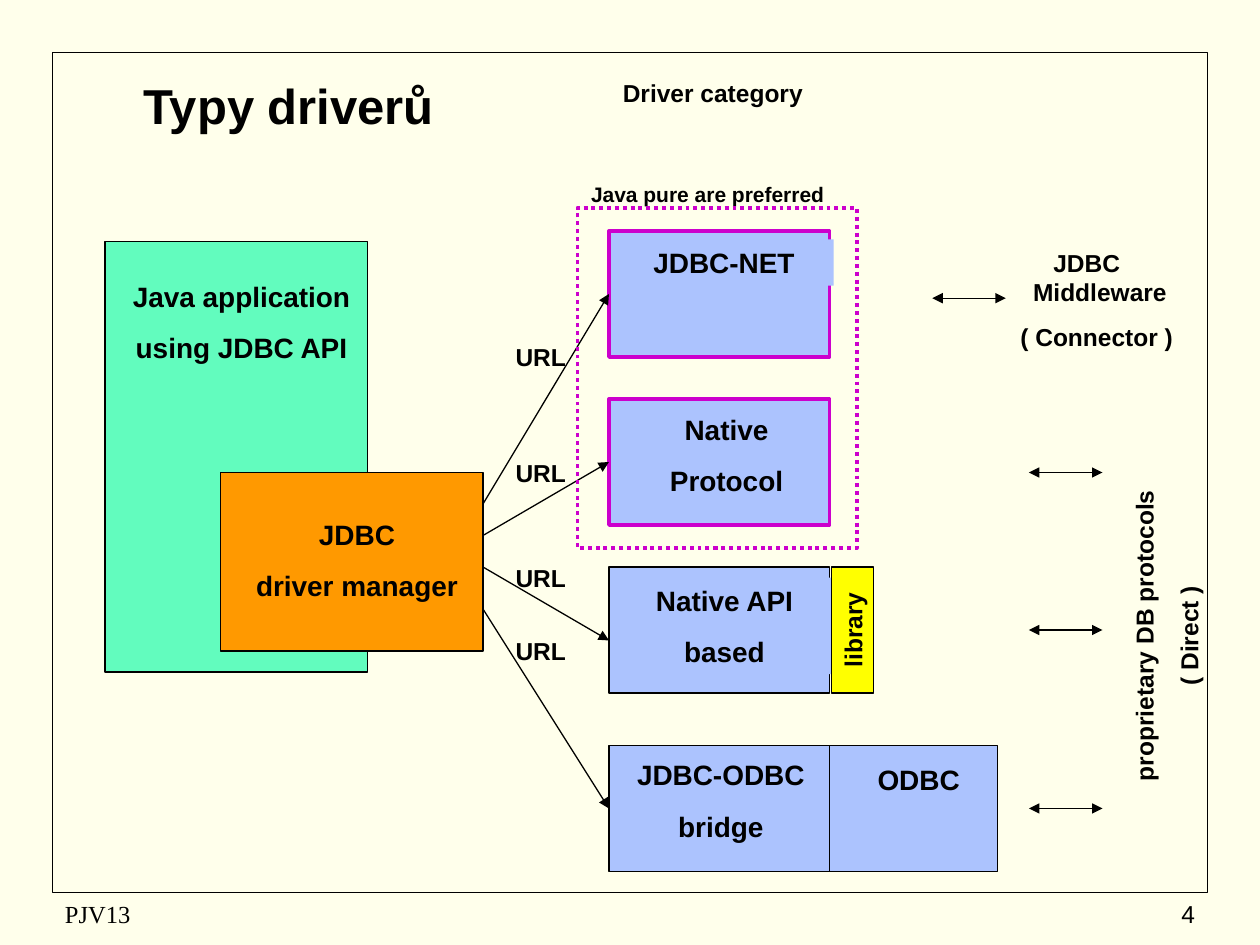
from lxml.etree import SubElement
from pptx import Presentation
from pptx.dml.color import RGBColor
from pptx.enum.dml import MSO_LINE
from pptx.enum.shapes import MSO_CONNECTOR, MSO_SHAPE
from pptx.enum.text import MSO_ANCHOR, PP_ALIGN
from pptx.oxml.ns import qn
from pptx.util import Inches, Pt

COLUMNS, ROWS = 120, 90
BLACK = RGBColor(0x00, 0x00, 0x00)
CREAM = RGBColor(0xFF, 0xFF, 0xEB)
GREEN = RGBColor(0x62, 0xFC, 0xBE)
ORANGE = RGBColor(0xFF, 0x99, 0x00)
BLUE = RGBColor(0xAC, 0xC3, 0xFE)
YELLOW = RGBColor(0xFF, 0xFF, 0x00)
MAGENTA = RGBColor(0xCC, 0x00, 0xCC)


def grid(*cells):
    """Turn grid counts into lengths; one cell is a twelfth of an inch."""
    return [Inches(cell / 12) for cell in cells]


def write(shape, lines, size, align=PP_ALIGN.CENTER, bold=True, font="Arial",
          anchor=MSO_ANCHOR.TOP):
    """Fill a shape with formatted paragraphs, spaced after the first."""
    frame = shape.text_frame
    frame.word_wrap = True
    frame.vertical_anchor = anchor
    frame.text = "\n".join(lines)
    for index, para in enumerate(frame.paragraphs):
        para.alignment = align
        para.space_before = Pt(size * 0.625 if index else 0)
        for run in para.runs:
            run.font.size, run.font.bold, run.font.name = Pt(size), bold, font
            run.font.color.rgb = BLACK


def add_box(slide, place, fill=None, line=None, width=0.75, rotation=0):
    """Add a rectangle with an optional fill and outline."""
    box = slide.shapes.add_shape(MSO_SHAPE.RECTANGLE, *grid(*place))
    box.shadow.inherit = False
    box.rotation = rotation
    if fill is None:
        box.fill.background()
    else:
        box.fill.solid()
        box.fill.fore_color.rgb = fill
    if line is None:
        box.line.fill.background()
    else:
        box.line.color.rgb = line
        box.line.width = Pt(width)
    return box


def add_label(slide, place, lines, size=14, rotation=0, **style):
    """Add a text box and return it."""
    label = slide.shapes.add_textbox(*grid(*place))
    label.rotation = rotation
    write(label, lines, size, **style)
    return label


def indent(para, margin, first):
    """Set the left margin and first-line indent of a paragraph in inches."""
    properties = para._p.get_or_add_pPr()
    properties.set("marL", str(Inches(margin)))
    properties.set("indent", str(Inches(first)))


def add_arrow(slide, start, end, both=False):
    """Add a thin arrow with a head at one or both ends."""
    arrow = slide.shapes.add_connector(MSO_CONNECTOR.STRAIGHT, *grid(*start, *end))
    arrow.line.color.rgb = BLACK
    arrow.line.width = Pt(0.75)
    properties = arrow.element.spPr
    outline = properties.find(qn("a:ln"))
    for name in ("a:headEnd", "a:tailEnd") if both else ("a:tailEnd",):
        SubElement(outline, qn(name)).set("type", "triangle")
    SubElement(properties, qn("a:effectLst"))


def add_page_frame(slide):
    """Set the background, border, title and footer."""
    slide.background.fill.solid()
    slide.background.fill.fore_color.rgb = CREAM
    title = slide.shapes.title
    title.left, title.top, title.width, title.height = grid(6, 6, 43, 8)
    write(title, ["Typy driverů"], 28, anchor=MSO_ANCHOR.MIDDLE)
    add_box(slide, (5, 5, 110, 80), line=BLACK, width=1)
    footer = {"bold": False, "anchor": MSO_ANCHOR.MIDDLE}
    add_label(slide, (5, 85, 38, 4), ["PJV13"], align=PP_ALIGN.LEFT,
              font="Times New Roman", **footer)
    add_label(slide, (90, 85, 25, 4), ["4"], align=PP_ALIGN.RIGHT, **footer)


def add_application(slide):
    """Draw the application and its driver manager."""
    add_box(slide, (10, 23, 25, 41), GREEN, BLACK)
    add_box(slide, (21, 45, 25, 17), ORANGE, BLACK)
    add_label(slide, (7, 26, 32, 9.2), ["Java application", "using JDBC API"], 16)
    add_label(slide, (22, 48.7, 24, 9.2), ["JDBC", "driver manager"], 16)


def add_drivers(slide):
    """Draw the driver boxes, their labels and the URL arrows."""
    drivers = [
        (22, MAGENTA, 2.25, (58.5, 22.8, 20.9, 4.4), ["JDBC-NET"], 48, 32),
        (38, MAGENTA, 2.25, (60.1, 38.7, 18.2, 9.2), ["Native", "Protocol"], 51, 43),
        (54, BLACK, 0.75, (58.7, 55, 20.6, 9.2), ["Native API", "based"], 54, 53),
        (71, BLACK, 0.75, (59, 71.6, 19.3, 9.2), ["JDBC-ODBC", "bridge"], 58, 60),
    ]
    add_box(slide, (79, 71, 16, 12), BLUE, BLACK)
    write(add_box(slide, (81, 72, 13, 4.4), BLUE), ["ODBC"], 16)
    for top, line, width, place, lines, start, url in drivers:
        add_box(slide, (58, top, 21, 12), BLUE, line, width)
        write(add_box(slide, place, BLUE), lines, 16)
        add_arrow(slide, (46, start), (58, top + 6 if top != 54 else 61))
        add_label(slide, (47, url, 9, 4), ["URL"])
    library = add_box(slide, (75.2, 58, 12, 4), YELLOW, BLACK, rotation=270)
    write(library, ["library"], 14)
    add_label(slide, (56.4, 6.8, 23, 4), ["Driver category"])
    add_label(slide, (54.4, 16.7, 26, 3.6), ["Java pure are preferred"], 12)
    preferred = add_box(slide, (55, 19.8, 26.6, 32.4), line=MAGENTA, width=2.25)
    preferred.line.dash_style = MSO_LINE.ROUND_DOT


def add_databases(slide):
    """Draw the two ways to the database and their arrows."""
    middleware = add_label(slide, (94, 23, 19, 11), ["JDBC Middleware", "( Connector )"])
    first, second = middleware.text_frame.paragraphs
    indent(first, 0.21, -0.21)
    indent(second, 0.16, 0)
    add_label(slide, (93.6, 56.4, 35, 8.3),
              ["proprietary DB protocols", "( Direct )"], rotation=270)
    for left, row in [(88.8, 28.4), (98, 45), (98, 60), (98, 77)]:
        add_arrow(slide, (left, row), (left + 7, row), both=True)


def main():
    """Build the slide and save the deck."""
    deck = Presentation()
    deck.slide_width, deck.slide_height = grid(COLUMNS, ROWS)
    slide = deck.slides.add_slide(deck.slide_layouts[5])
    add_page_frame(slide)
    add_application(slide)
    add_drivers(slide)
    add_databases(slide)
    deck.save("out.pptx")


if __name__ == "__main__":
    main()
